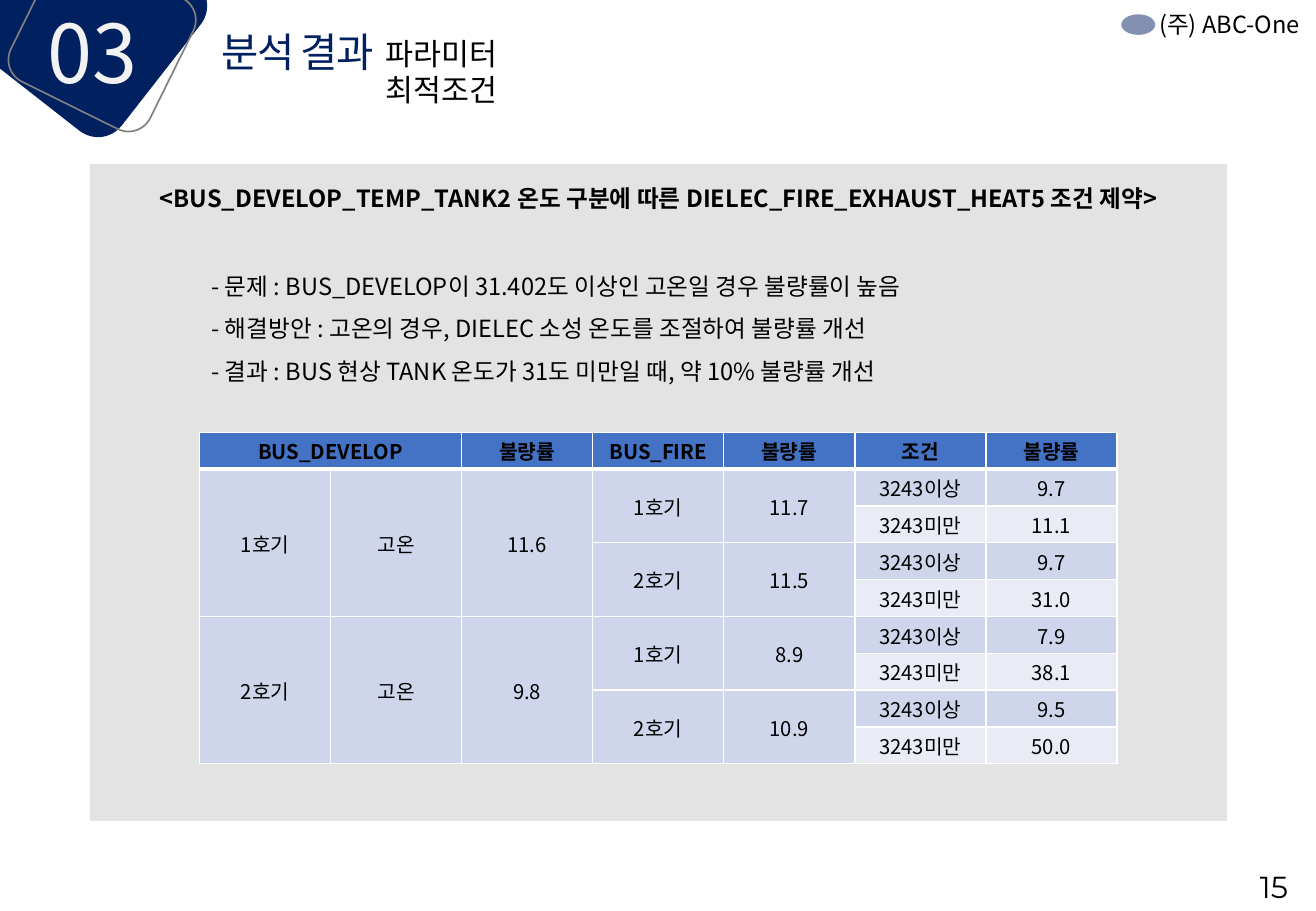
from lxml.etree import SubElement as Sub
from pptx import Presentation
from pptx.dml.color import RGBColor
from pptx.enum.shapes import MSO_SHAPE as Kind
from pptx.enum.text import MSO_ANCHOR as Anchor, PP_ALIGN as Align
from pptx.oxml.ns import qn
from pptx.util import Cm, Pt

SANS = "Noto Sans CJK KR"
NAVY = "002060"
WHITE = "FFFFFF"


def paint(fill, tone, alpha=None):
    fill.solid()
    fill.fore_color.rgb = RGBColor.from_string(tone)
    if alpha:
        node = fill._xPr.find(qn("a:solidFill"))[0]
        Sub(node, qn("a:alpha"), val=str(alpha * 1000))


def write(para, text, size, tone="000000", bold=False, face=SANS):
    run = para.add_run()
    run.text = text
    font = run.font
    font.name, font.size, font.bold = face, Pt(size), bold
    paint(font.fill, tone)
    Sub(font._element, qn("a:ea"), typeface=face)
    return run


deck = Presentation()
deck.slide_width, deck.slide_height = Cm(27.51), Cm(19.05)
slide = deck.slides.add_slide(deck.slide_layouts[6])
shapes = slide.shapes

plates = [
    (Kind.ROUNDED_RECTANGLE, -0.08, -1.47, 3.94, 3.76, 308, NAVY, None),
    (Kind.ROUNDED_RECTANGLE, 0.61, -0.79, 3.05, 3.25, 296.3, None, None),
    (Kind.OVAL, 23.44, 0.3, 0.71, 0.43, 0, NAVY, 49),
    (Kind.RECTANGLE, 1.88, 3.43, 23.77, 13.74, 0, "A6A6A6", 31),
]
for kind, x, y, w, h, turn, tone, alpha in plates:
    plate = shapes.add_shape(kind, Cm(x), Cm(y), Cm(w), Cm(h))
    plate.shadow.inherit = False
    plate.rotation = turn
    if tone:
        paint(plate.fill, tone, alpha)
        plate.line.fill.background()
    else:
        plate.fill.background()
        paint(plate.line.fill, "808080")
        plate.line.width = Pt(1)

title = "<BUS_DEVELOP_TEMP_TANK2 온도 구분에 따른 DIELEC_FIRE_EXHAUST_HEAT5 조건 제약>"
points = [
    "- 문제 : BUS_DEVELOP이 31.402도 이상인 고온일 경우 불량률이 높음",
    "- 해결방안 : 고온의 경우, DIELEC 소성 온도를 조절하여 불량률 개선",
    "- 결과 : BUS 현상 TANK 온도가 31도 미만일 때, 약 10% 불량률 개선",
]
TOP, MID = Anchor.TOP, Anchor.MIDDLE
LEFT, FULL = Align.LEFT, Align.JUSTIFY
texts = [
    (0.74, -0.08, 2.95, 2.31, TOP, LEFT, 1, ["03"], 48, "F2F2F2", False, SANS),
    (4.39, 0.43, 17.96, 1.27, MID, LEFT, 1, ["분석 결과"], 24, NAVY, False, SANS),
    (23.98, 0.08, 3.58, 0.86, TOP, FULL, 1, ["(주) ABC-One"], 14, "000000", False, SANS),
    (7.82, 0.61, 5.08, 1.02, TOP, LEFT, 1, ["파라미터 최적조건"], 18, "000000", False, SANS),
    (26.09, 18.03, 1.4, 1.02, TOP, LEFT, 1, ["15"], 18, "000000", False, "Montserrat"),
    (1.88, 3.58, 23.77, 1.22, MID, Align.CENTER, 0.9, [title], 14, "000000", True, SANS),
    (4.17, 5.05, 19.28, 3.33, MID, FULL, 1.5, points, 14, "000000", False, SANS),
]
for x, y, w, h, anchor, align, space, lines, size, tone, bold, face in texts:
    frame = shapes.add_textbox(Cm(x), Cm(y), Cm(w), Cm(h)).text_frame
    frame.word_wrap = True
    frame.vertical_anchor = anchor
    for i, line in enumerate(lines):
        para = frame.paragraphs[0] if i == 0 else frame.add_paragraph()
        para.alignment, para.line_spacing = align, space
        run = write(para, line, size, tone, bold, face)
        if size == 24:
            run.font._element.set("spc", "-100")

heads = ["BUS_DEVELOP", "", "불량률", "BUS_FIRE", "불량률", "조건", "불량률"]
rates = ["11.6", "9.8"]
fires = ["11.7", "11.5", "8.9", "10.9"]
ends = ["9.7", "11.1", "9.7", "31.0", "7.9", "38.1", "9.5", "50.0"]
rows = [heads]
for i, end in enumerate(ends):
    row = [""] * 5 + ["3243미만" if i % 2 else "3243이상", end]
    if i % 4 == 0:
        row[:3] = [f"{i // 4 + 1}호기", "고온", rates[i // 4]]
    if i % 2 == 0:
        row[3:5] = [f"{i // 2 % 2 + 1}호기", fires[i // 2]]
    rows.append(row)

table = shapes.add_table(9, 7, Cm(4.17), Cm(9.04), Cm(19.2), Cm(6.93)).table
for col in table.columns:
    col.width = Cm(2.74)
for r, row in enumerate(rows):
    table.rows[r].height = Cm(0.77)
    for c, text in enumerate(row):
        cell = table.cell(r, c)
        cell.vertical_anchor = MID
        cell.margin_top = cell.margin_bottom = Cm(0.06)
        props = cell._tc.get_or_add_tcPr()
        for side in "LRTB":
            thick = (r, side) in [(0, "B"), (1, "T")]
            edge = Sub(props, qn(f"a:ln{side}"), w=str(Pt(3 if thick else 1)))
            Sub(Sub(edge, qn("a:solidFill")), qn("a:srgbClr"), val=WHITE)
        band = "E9EBF5" if c > 4 and r % 2 == 0 else "CFD5EA"
        paint(cell.fill, band if r else "4472C4")
        para = cell.text_frame.paragraphs[0]
        para.alignment, para.line_spacing = Align.CENTER, 1.03
        if text:
            write(para, text, 12, bold=r == 0)
        else:
            para.font.size = Pt(12)

table.cell(0, 0).merge(table.cell(0, 1))
for cols, span in [(range(3), 4), (range(3, 5), 2)]:
    for c in cols:
        for r in range(1, 9, span):
            table.cell(r, c).merge(table.cell(r + span - 1, c))

deck.save("out.pptx")
